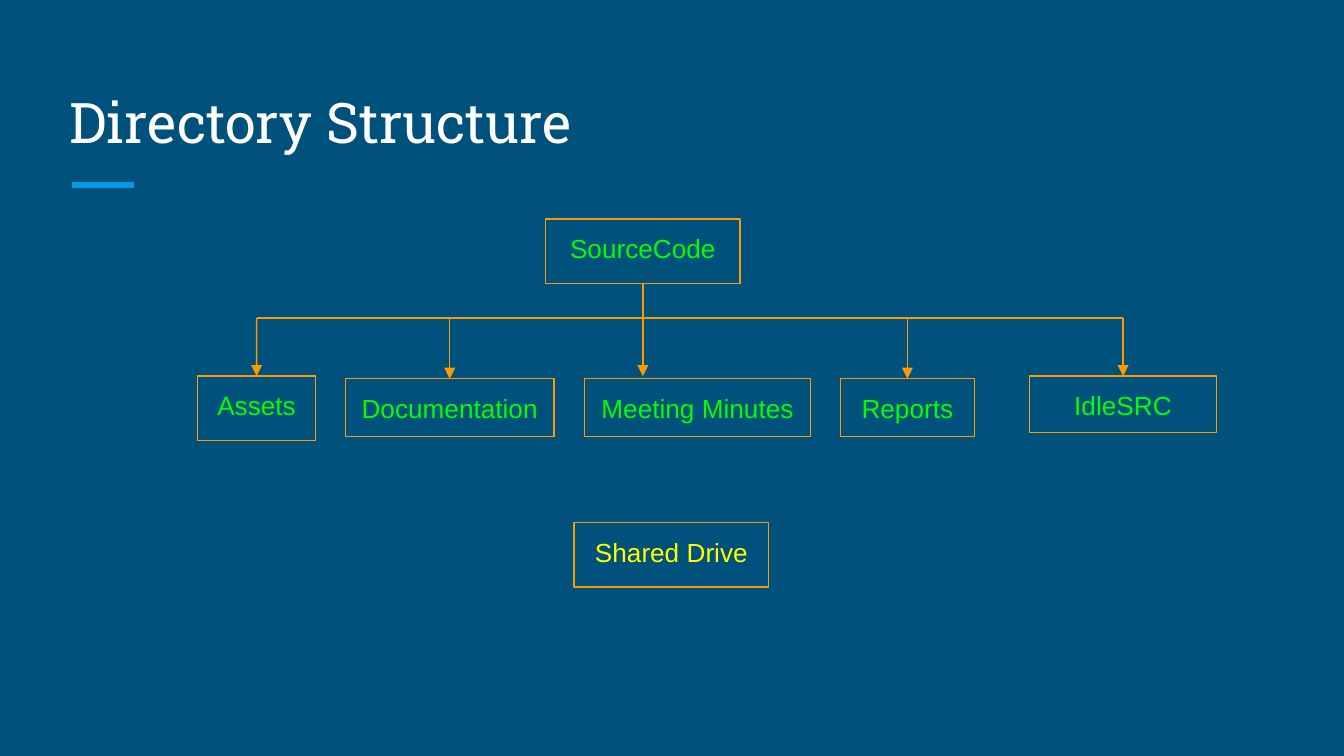
from lxml.etree import SubElement
from pptx import Presentation
from pptx.dml.color import RGBColor
from pptx.enum.shapes import MSO_CONNECTOR as CONN, MSO_SHAPE as SHAPE
from pptx.enum.text import MSO_ANCHOR as ANCHOR, MSO_AUTO_SIZE as FIT, PP_ALIGN as ALIGN
from pptx.oxml.ns import qn
from pptx.util import Cm, Pt

COLORS = {"back": "00517C", "accent": "039BE5", "title": "FFFFFF",
          "line": "FF9900", "folder": "00FF00", "drive": "FFFF00"}
FOLDERS = [("Assets", 0, 2.97, 2.24, 1.22),
           ("Documentation", 2.8, 3.02, 3.94, 1.09),
           ("Meeting Minutes", 7.32, 3.02, 4.27, 1.09),
           ("Reports", 12.15, 3.02, 2.54, 1.09),
           ("IdleSRC", 15.73, 2.97, 3.53, 1.07)]


def color(name):
    """Return the named palette colour."""
    return RGBColor.from_string(COLORS[name])


def set_text(tf, text, font, size, fill, align):
    """Write one formatted paragraph with equal insets."""
    tf.word_wrap = True
    tf.margin_left = tf.margin_right = tf.margin_top = tf.margin_bottom = Cm(0.25)
    p = tf.paragraphs[0]
    p.text = text
    p.alignment = align
    p.font.name, p.font.size = font, Pt(size)
    p.font.color.rgb = color(fill)


def add_box(slide, text, left, top, width, height, fill="folder"):
    """Add an outlined box with a centred label."""
    sp = slide.shapes.add_shape(SHAPE.RECTANGLE, Cm(left), Cm(top), Cm(width), Cm(height))
    sp.shadow.inherit = False
    sp.fill.background()
    sp.line.color.rgb = color("line")
    sp.line.width = Pt(0.75)
    sp.text_frame.vertical_anchor = ANCHOR.TOP
    set_text(sp.text_frame, text, "Arial", 14, fill, ALIGN.CENTER)
    return sp


def add_line(slide, x1, y1, x2, y2, stroke="line", width=0.75, arrow=False):
    """Add a straight line, with an arrowhead at its end on request."""
    cxn = slide.shapes.add_connector(CONN.STRAIGHT, Cm(x1), Cm(y1), Cm(x2), Cm(y2))
    cxn.line.color.rgb = color(stroke)
    cxn.line.width = Pt(width)
    if arrow:
        SubElement(cxn.line._get_or_add_ln(), qn("a:tailEnd"), type="triangle")
    SubElement(cxn._element.spPr, qn("a:effectLst"))
    return cxn


def add_header(slide, left, top, width, height):
    """Place the title and the accent rule below it."""
    title = slide.shapes.title
    title.left, title.top, title.width, title.height = map(Cm, (left, top, width, height))
    tf = title.text_frame
    tf.auto_size = FIT.NONE
    tf.vertical_anchor = ANCHOR.BOTTOM
    set_text(tf, "Directory Structure", "Roboto Slab", 30, "title", ALIGN.LEFT)
    rule = top + height + 0.33
    add_line(slide, left + 0.3, rule, left + 1.47, rule, "accent", 3)


def add_tree(slide, left, top):
    """Place the root folder, the rail and the folders that hang from it."""
    root = add_box(slide, "SourceCode", left + 6.58, top, 3.68, 1.22)
    rail = top + 1.87
    trunk = left + 8.42
    stem = add_line(slide, trunk, top + 1.22, trunk, top + 2.97, arrow=True)
    stem.begin_connect(root, 2)
    centers = [left + x + width / 2 for _, x, _, width, _ in FOLDERS]
    add_line(slide, centers[0], rail, centers[-1], rail)
    for center, (name, x, y, width, height) in zip(centers, FOLDERS):
        box = add_box(slide, name, left + x, top + y, width, height)
        if name != "Meeting Minutes":
            branch = add_line(slide, center, rail, center, top + y, arrow=True)
            branch.end_connect(box, 0)


def main():
    """Build and save the slide."""
    prs = Presentation()
    prs.slide_width, prs.slide_height = Cm(25.4), Cm(14.29)
    slide = prs.slides.add_slide(prs.slide_layouts[5])
    slide.background.fill.solid()
    slide.background.fill.fore_color.rgb = color("back")
    add_header(slide, 1.06, 1.27, 23.24, 1.9)
    add_tree(slide, 3.73, 4.14)
    add_box(slide, "Shared Drive", 10.85, 9.88, 3.68, 1.22, "drive")
    prs.save("out.pptx")


if __name__ == "__main__":
    main()
